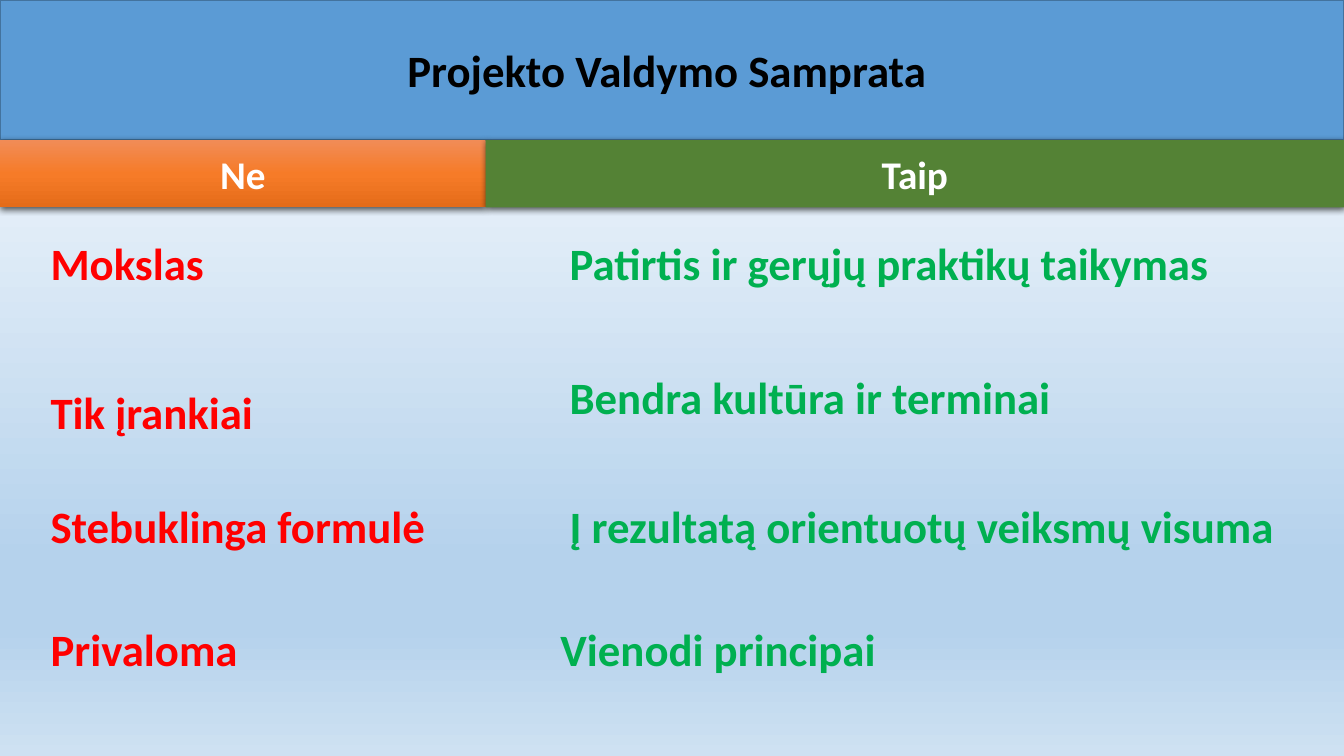
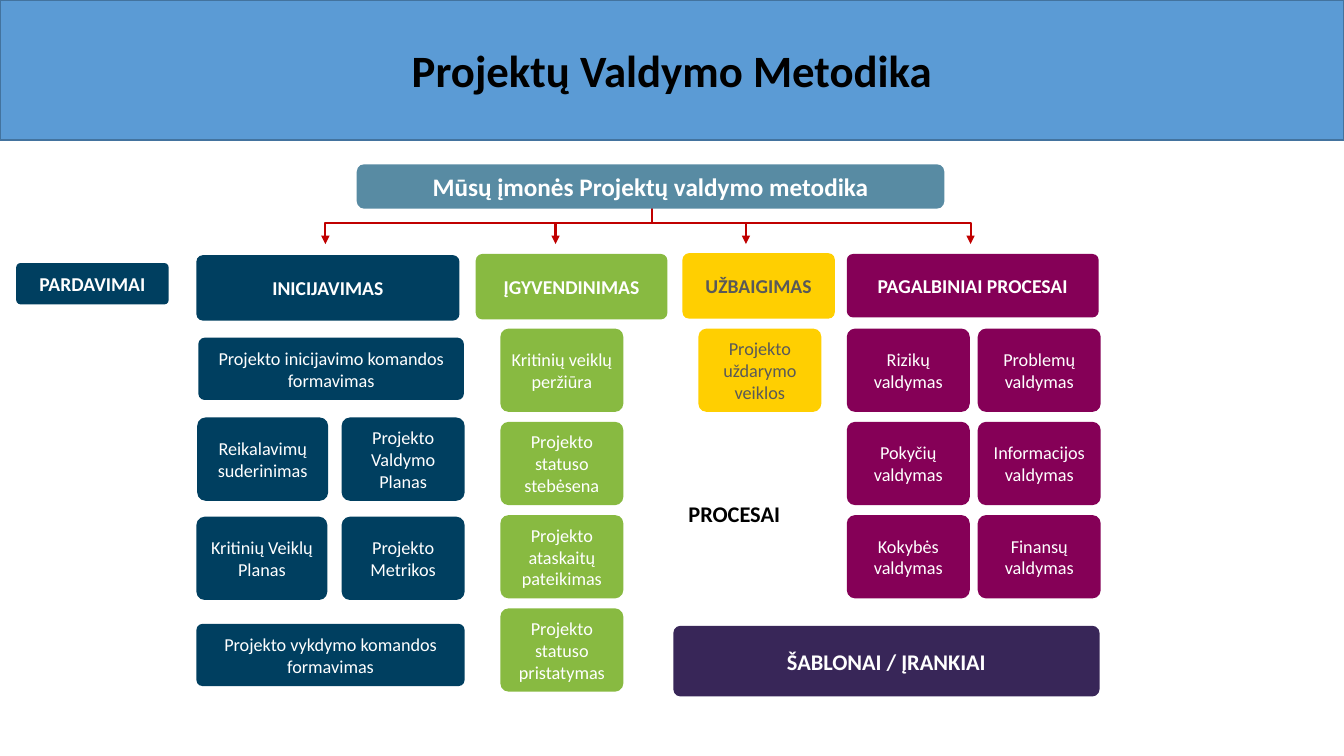
"""Build two slides on project management with python-pptx."""
from dataclasses import dataclass

import lxml.etree
import pptx
import pptx.dml.color
import pptx.dml.fill
import pptx.enum.shapes
import pptx.enum.text
import pptx.oxml.ns
import pptx.presentation
import pptx.shapes.autoshape
import pptx.shapes.base
import pptx.slide
import pptx.text.text
import pptx.util

Cm = pptx.util.Cm
Pt = pptx.util.Pt
RGBColor = pptx.dml.color.RGBColor
qn = pptx.oxml.ns.qn
Align = pptx.enum.text.PP_ALIGN
Anchor = pptx.enum.text.MSO_ANCHOR
ShapeType = pptx.enum.shapes.MSO_SHAPE

FONT = "Calibri"
BLACK = RGBColor(0x00, 0x00, 0x00)
WHITE = RGBColor(0xFF, 0xFF, 0xFF)
GREY = RGBColor(0x59, 0x59, 0x59)
RED = RGBColor(0xFF, 0x00, 0x00)
GREEN = RGBColor(0x00, 0xB0, 0x50)
DARK_GREEN = RGBColor(0x54, 0x82, 0x35)
BAND_BLUE = RGBColor(0x5B, 0x9B, 0xD5)
BAND_LINE = RGBColor(0x43, 0x73, 0x9E)
ARROW_RED = RGBColor(0xC0, 0x00, 0x00)
NAVY = RGBColor(0x00, 0x3F, 0x60)
LIME = RGBColor(0x88, 0xBA, 0x41)
YELLOW = RGBColor(0xFF, 0xCF, 0x01)
PLUM = RGBColor(0x85, 0x00, 0x57)
INDIGO = RGBColor(0x38, 0x26, 0x58)
STEEL = RGBColor(0x58, 0x8B, 0xA3)

SLIDE_WIDTH = 33.87
SLIDE_HEIGHT = 19.05
BAND_HEIGHT = 3.53

Stops = list[tuple[int, RGBColor]]
SKY: Stops = [
    (8, RGBColor(0xF7, 0xFA, 0xFD)),
    (74, RGBColor(0xB5, 0xD2, 0xEC)),
    (83, RGBColor(0xB5, 0xD2, 0xEC)),
    (100, RGBColor(0xCE, 0xE1, 0xF2)),
]
ORANGE: Stops = [
    (0, RGBColor(0xF1, 0x8C, 0x57)),
    (50, RGBColor(0xF6, 0x7B, 0x28)),
    (100, RGBColor(0xE5, 0x6C, 0x19)),
]


@dataclass(frozen=True)
class Item:
    """A list line with its space before (points) and left margin (cm)."""

    text: str
    space: float = 0
    margin: float = 0


@dataclass(frozen=True)
class Node:
    """A rounded box of the method map, measured in cm."""

    text: str
    left: float
    top: float
    width: float
    height: float
    fill: RGBColor
    size: int = 13
    bold: bool = False
    color: RGBColor = WHITE
    corner: float = 0.1


STEP_WIDTH, STEP_HEIGHT = 3.1, 2.1
ROW_TOP, ROW_PITCH = 8.28, 2.35
SUPPORT_LEFT, SUPPORT_PITCH = 21.34, 3.3

HEADINGS = [
    Node("PARDAVIMAI", 0.41, 6.63, 3.84, 1.04, NAVY, 14, True),
    Node("INICIJAVIMAS", 4.95, 6.43, 6.63, 1.65, NAVY, 14, True),
    Node("ĮGYVENDINIMAS", 11.99, 6.4, 4.83, 1.65, LIME, 14, True),
    Node("UŽBAIGIMAS", 17.2, 6.38, 3.84, 1.65, YELLOW, 14, True, GREY),
    Node("PAGALBINIAI PROCESAI", 21.34, 6.4, 6.35, 1.6, PLUM, 14, True),
    Node("ŠABLONAI / ĮRANKIAI", 16.97, 15.77, 10.74, 1.78, INDIGO, 16, True),
    Node("Mūsų įmonės Projektų valdymo metodika", 8.99, 4.14, 14.81, 1.12,
         STEEL, 18, True, WHITE, 0.17),
]
INITIATION = [
    Node("Projekto inicijavimo komandos formavimas", 5, 8.51, 6.69, 1.57, NAVY),
    Node("Reikalavimų suderinimas", 4.97, 10.52, 3.3, STEP_HEIGHT, NAVY),
    Node("Projekto Valdymo Planas", 8.61, 10.52, STEP_WIDTH, STEP_HEIGHT, NAVY),
    Node("Kritinių Veiklų Planas", 4.95, 13.02, 3.3, STEP_HEIGHT, NAVY),
    Node("Projekto Metrikos", 8.61, 13.02, STEP_WIDTH, STEP_HEIGHT, NAVY),
    Node("Projekto vykdymo komandos formavimas", 4.95, 15.72, 6.76, 1.57, NAVY),
]
EXECUTION = [
    Node(text, 12.61, ROW_TOP + row * ROW_PITCH, STEP_WIDTH, STEP_HEIGHT, LIME)
    for row, text in enumerate([
        "Kritinių veiklų peržiūra",
        "Projekto statuso stebėsena",
        "Projekto ataskaitų pateikimas",
        "Projekto statuso pristatymas",
    ])
]
CLOSING = [
    Node("Projekto uždarymo veiklos", 17.6, ROW_TOP, STEP_WIDTH, STEP_HEIGHT,
         YELLOW, color=GREY),
]
SUPPORT = [
    Node(f"{topic} valdymas", SUPPORT_LEFT + index % 2 * SUPPORT_PITCH,
         ROW_TOP + index // 2 * ROW_PITCH, STEP_WIDTH, STEP_HEIGHT, PLUM)
    for index, topic in enumerate([
        "Rizikų", "Problemų", "Pokyčių", "Informacijos", "Kokybės", "Finansų",
    ])
]
ARROW_START = (16.43, 5.11)
ARROW_BOTTOM = 6.15
ARROW_TARGETS = [8.2, 14, 18.8, 24.46]

NO_ITEMS = [
    Item("Mokslas"),
    Item("Tik įrankiai", 67.5),
    Item("Stebuklinga formulė", 43),
    Item("Privaloma", 49.5),
]
YES_ITEMS = [
    Item("Patirtis ir gerųjų praktikų taikymas", 0, 0.23),
    Item("Bendra kultūra ir terminai", 57.4, 0.23),
    Item("Į rezultatą orientuotų veiksmų visuma", 53.1, 0.23),
    Item("Vienodi principai", 49.5),
]


def add_run(paragraph: pptx.text.text._Paragraph, text: str, size: int,
            color: RGBColor, bold: bool = True) -> None:
    """Append one formatted run."""
    run = paragraph.add_run()
    run.text = text
    run.font.name = FONT
    run.font.size = Pt(size)
    run.font.bold = bold
    run.font.color.rgb = color


def place(shape: pptx.shapes.base.BaseShape, left: float, top: float,
          width: float, height: float) -> None:
    """Move and size a shape, in cm."""
    shape.left, shape.top = Cm(left), Cm(top)
    shape.width, shape.height = Cm(width), Cm(height)


def write_centred(shape: pptx.shapes.base.BaseShape, text: str, size: int,
                  color: RGBColor, bold: bool = True) -> None:
    """Write one centred paragraph in the middle of a shape."""
    frame = shape.text_frame
    frame.word_wrap = True
    frame.auto_size = pptx.enum.text.MSO_AUTO_SIZE.NONE
    frame.vertical_anchor = Anchor.MIDDLE
    paragraph = frame.paragraphs[0]
    paragraph.alignment = Align.CENTER
    add_run(paragraph, text, size, color, bold)


def apply_gradient(fill: pptx.dml.fill.FillFormat,
                   element: lxml.etree.ElementBase, stops: Stops) -> None:
    """Fill from top to bottom with the given colour stops."""
    fill.gradient()
    fill.gradient_angle = 270
    stop_list = element.find(".//" + qn("a:gsLst"))
    for child in list(stop_list):
        stop_list.remove(child)
    for percent, color in stops:
        stop = lxml.etree.SubElement(stop_list, qn("a:gs"), pos=str(percent * 1000))
        lxml.etree.SubElement(stop, qn("a:srgbClr"), val=str(color))


def add_titled_slide(presentation: pptx.presentation.Presentation,
                     layout_index: int, title: str) -> pptx.slide.Slide:
    """Add a slide whose title is the blue band at the top."""
    slide = presentation.slides.add_slide(presentation.slide_layouts[layout_index])
    band = slide.shapes.title
    place(band, 0, 0, SLIDE_WIDTH, BAND_HEIGHT)
    band.fill.solid()
    band.fill.fore_color.rgb = BAND_BLUE
    band.line.color.rgb = BAND_LINE
    band.line.width = Pt(1)
    write_centred(band, title, 32, BLACK)
    return slide


def add_column_header(slide: pptx.slide.Slide, text: str, left: float,
                      width: float) -> pptx.shapes.autoshape.Shape:
    """Add a column header with a soft shadow below the band."""
    header = slide.shapes.add_shape(
        ShapeType.RECTANGLE, Cm(left), Cm(BAND_HEIGHT), Cm(width), Cm(1.7))
    header.line.fill.background()
    header.shadow.inherit = False
    effects = header.element.spPr.find(qn("a:effectLst"))
    shadow = lxml.etree.SubElement(
        effects, qn("a:outerShdw"), blurRad=str(Pt(4.5)), dist=str(Pt(1.5)),
        dir="5400000", algn="ctr", rotWithShape="0")
    color = lxml.etree.SubElement(shadow, qn("a:srgbClr"), val=str(BLACK))
    lxml.etree.SubElement(color, qn("a:alpha"), val="63000")
    write_centred(header, text, 28, WHITE)
    return header


def fill_list(body: pptx.shapes.base.BaseShape, items: list[Item],
              color: RGBColor) -> None:
    """Write spaced lines without bullets in a body placeholder."""
    frame = body.text_frame
    frame.word_wrap = True
    frame.auto_size = pptx.enum.text.MSO_AUTO_SIZE.NONE
    frame.vertical_anchor = Anchor.TOP
    for index, item in enumerate(items):
        paragraph = frame.add_paragraph() if index else frame.paragraphs[0]
        properties = paragraph._p.get_or_add_pPr()
        properties.set("marL", str(Cm(item.margin)))
        properties.set("indent", "0")
        lxml.etree.SubElement(properties, qn("a:buNone"))
        paragraph.space_before = Pt(item.space)
        add_run(paragraph, item.text, 32, color)


def add_node(slide: pptx.slide.Slide, node: Node) -> None:
    """Draw one rounded box."""
    shape = slide.shapes.add_shape(
        ShapeType.ROUNDED_RECTANGLE, Cm(node.left), Cm(node.top),
        Cm(node.width), Cm(node.height))
    shape.adjustments[0] = node.corner
    shape.shadow.inherit = False
    shape.fill.solid()
    shape.fill.fore_color.rgb = node.fill
    shape.line.fill.background()
    frame = shape.text_frame
    frame.margin_left = frame.margin_right = Cm(0.1)
    frame.margin_top = frame.margin_bottom = Cm(0.03)
    write_centred(shape, node.text, node.size, node.color, node.bold)


def add_branch(slide: pptx.slide.Slide, target: float) -> None:
    """Draw a bent arrow that leaves downwards and ends above a heading."""
    start, top = ARROW_START
    rightwards = target > start
    middle_x, middle_y = (start + target) / 2, (top + ARROW_BOTTOM) / 2
    half_drop = (ARROW_BOTTOM - top) / 2 * (-1 if rightwards else 1)
    half_run = abs(target - start) / 2
    connector = slide.shapes.add_connector(
        pptx.enum.shapes.MSO_CONNECTOR.ELBOW,
        Cm(middle_x - half_drop), Cm(middle_y - half_run),
        Cm(middle_x + half_drop), Cm(middle_y + half_run))
    properties = connector._element.spPr
    properties.find(qn("a:xfrm")).set("rot", "16200000" if rightwards else "5400000")
    connector.line.color.rgb = ARROW_RED
    connector.line.width = Pt(1.5)
    line = properties.find(qn("a:ln"))
    lxml.etree.SubElement(line, qn("a:tailEnd"), type="triangle")
    lxml.etree.SubElement(properties, qn("a:effectLst"))


def build_concept(presentation: pptx.presentation.Presentation) -> None:
    """Build the slide that contrasts what project management is and is not."""
    slide = add_titled_slide(presentation, 3, "Projekto Valdymo Samprata ")
    apply_gradient(slide.background.fill, slide.element, SKY)
    split = 12.24
    no_header = add_column_header(slide, "Ne", 0, split)
    apply_gradient(no_header.fill, no_header.element, ORANGE)
    yes_header = add_column_header(slide, "Taip", split, SLIDE_WIDTH - split)
    yes_header.fill.solid()
    yes_header.fill.fore_color.rgb = DARK_GREEN
    no_list, yes_list = slide.placeholders[1], slide.placeholders[2]
    place(no_list, 1.02, 5.82, 11, 11.4)
    place(yes_list, 13.87, 5.82, 19.5, 11.4)
    fill_list(no_list, NO_ITEMS, RED)
    fill_list(yes_list, YES_ITEMS, GREEN)


def build_method(presentation: pptx.presentation.Presentation) -> None:
    """Build the slide with the map of the method."""
    slide = add_titled_slide(presentation, 5, "Projektų Valdymo Metodika")
    for target in ARROW_TARGETS:
        add_branch(slide, target)
    for node in HEADINGS + INITIATION + EXECUTION + CLOSING + SUPPORT:
        add_node(slide, node)
    label = slide.shapes.add_textbox(Cm(16.03), Cm(12.47), Cm(4.95), Cm(0.94))
    write_centred(label, "PROCESAI", 16, BLACK)


def main() -> None:
    """Build and save the presentation."""
    presentation = pptx.Presentation()
    presentation.slide_width = Cm(SLIDE_WIDTH)
    presentation.slide_height = Cm(SLIDE_HEIGHT)
    build_concept(presentation)
    build_method(presentation)
    presentation.save("out.pptx")


if __name__ == "__main__":
    main()
